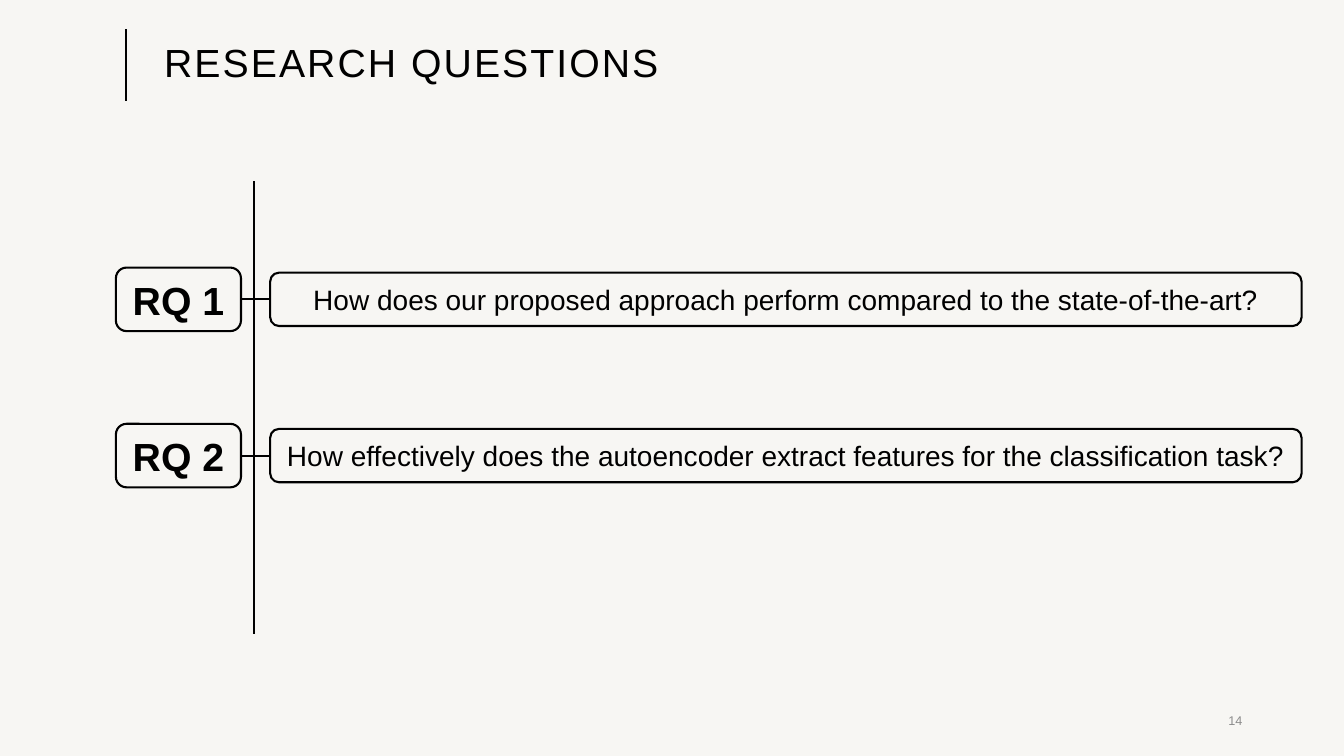
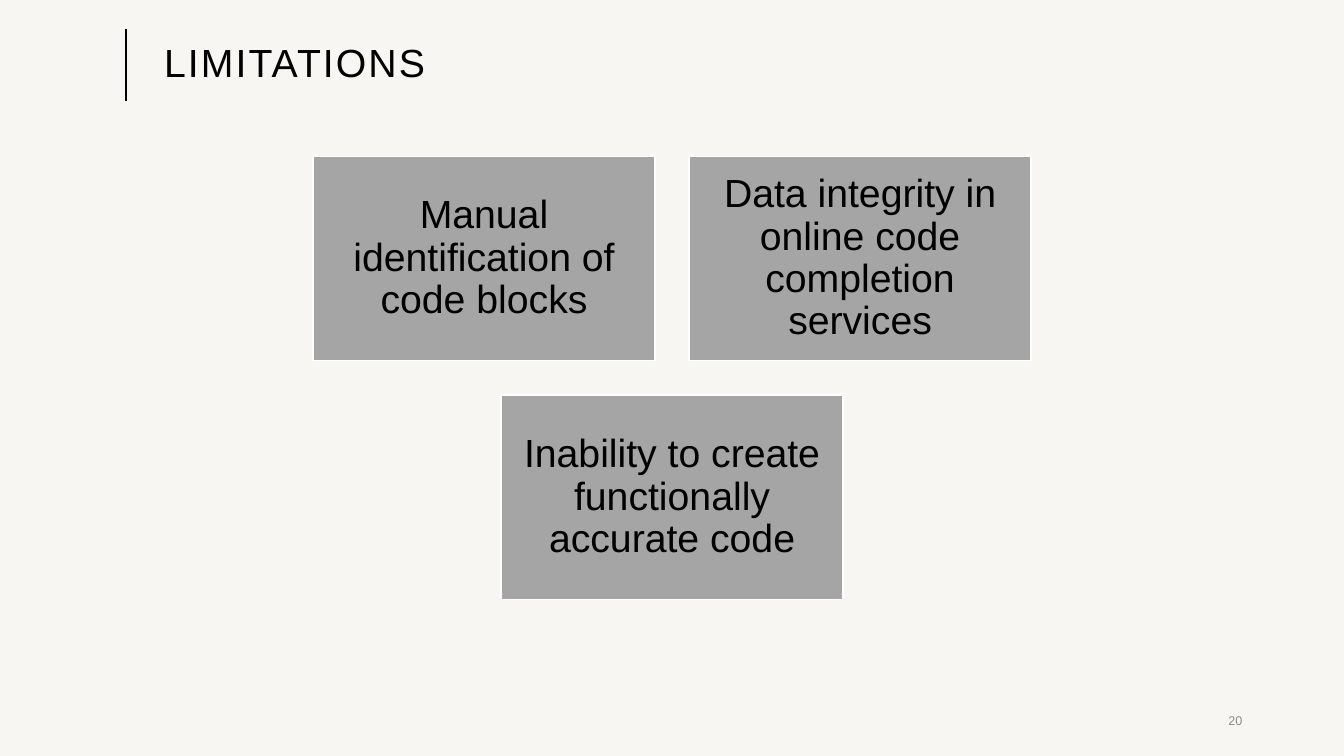
from lxml.etree import SubElement
from pptx import Presentation
from pptx.dml.color import RGBColor
from pptx.enum.shapes import MSO_CONNECTOR, MSO_SHAPE
from pptx.enum.text import MSO_ANCHOR, PP_ALIGN
from pptx.oxml.ns import qn
from pptx.util import Inches, Pt

HUES = {
    "paper": "F7F6F3",
    "ink": "000000",
    "page": "8C8C8C",
    "card": "A5A5A5",
    "edge": "FFFFFF",
}
FONT = "Arial"
WIDE, HIGH = 13.33, 7.5
TOP, HEAD = 0.29, 0.71          # title band: top and height
RIGHT = 12.42                   # right edge of title and page number


def hue(name):
    return RGBColor.from_string(HUES[name])


def write(frame, text, size, align=PP_ALIGN.CENTER, color="ink", bold=False, lead=1.0):
    frame.word_wrap = True
    frame.vertical_anchor = MSO_ANCHOR.MIDDLE
    para = frame.paragraphs[0]
    run = para.add_run()
    run.text = text
    para.alignment = align
    para.line_spacing = lead
    font = para.font
    font.name, font.size, font.bold = FONT, Pt(size), bold
    font.color.rgb = hue(color)
    return run


def label(slide, box, text, size, **style):
    area = slide.shapes.add_textbox(*map(Inches, box))
    return write(area.text_frame, text, size, **style)


def block(slide, kind, box, text, size, fill, edge, width, **style):
    shape = slide.shapes.add_shape(kind, *map(Inches, box))
    shape.shadow.inherit = False
    shape.fill.solid()
    shape.fill.fore_color.rgb = hue(fill)
    shape.line.color.rgb = hue(edge)
    shape.line.width = Pt(width)
    write(shape.text_frame, text, size, **style)
    return shape


def rule(slide, *ends):
    line = slide.shapes.add_connector(MSO_CONNECTOR.STRAIGHT, *map(Inches, ends))
    line.line.color.rgb = hue("ink")
    line.line.width = Pt(1.5)
    SubElement(line._element.spPr, qn("a:effectLst"))


def start(deck, title, page):
    """Add a slide with the shared title, side rule and page number."""
    slide = deck.slides.add_slide(deck.slide_layouts[6])
    rule(slide, 1.25, TOP, 1.25, TOP + HEAD)
    run = label(slide, (1.53, TOP, RIGHT - 1.53, HEAD), title, 28,
                align=PP_ALIGN.LEFT, lead=0.9)
    run._r.get_or_add_rPr().set("spc", "150")
    label(slide, (RIGHT - 3, 6.95, 3, 0.4), str(page), 9,
          align=PP_ALIGN.RIGHT, color="page")
    return slide


def asks(slide, items, first=2.97, step=1.55):
    """Hang numbered questions on a vertical rule."""
    tag, bar = (1.15, 1.24, 0.63), (2.68, 10.23, 0.53)
    rule(slide, 2.52, 1.8, 2.52, 6.29)
    for row, text in enumerate(items):
        mid = first + row * step
        rule(slide, tag[0] + tag[1], mid, bar[0], mid)
        parts = ((tag, f"RQ {row + 1}", 28, True), (bar, text, 20, False))
        for (left, wide, high), words, size, bold in parts:
            block(slide, MSO_SHAPE.FLOWCHART_ALTERNATE_PROCESS,
                  (left, mid - high / 2, wide, high), words, size,
                  "paper", "ink", 1.5, bold=bold)


def cards(slide, rows, top=1.55, wide=3.39, high=2.03, gap=0.34):
    """Lay out rows of equal cards, each row centred on the slide."""
    for row, items in enumerate(rows):
        span = len(items) * (wide + gap) - gap
        for col, text in enumerate(items):
            box = ((WIDE - span) / 2 + col * (wide + gap),
                   top + row * (high + gap), wide, high)
            card = block(slide, MSO_SHAPE.RECTANGLE, box, text, 28,
                         "card", "edge", 1, lead=0.9)
            frame = card.text_frame
            frame.margin_top = frame.margin_bottom = Inches(0.1)


def main():
    deck = Presentation()
    deck.slide_width, deck.slide_height = Inches(WIDE), Inches(HIGH)
    back = deck.slide_master.background.fill
    back.solid()
    back.fore_color.rgb = hue("paper")

    asks(start(deck, "RESEARCH QUESTIONS", 14), [
        "How does our proposed approach perform compared to the state-of-the-art?",
        "How effectively does the autoencoder extract features for the classification task?",
    ])
    cards(start(deck, "LIMITATIONS", 20), [
        ["Manual identification of code blocks",
         "Data integrity in online code completion services"],
        ["Inability to create functionally accurate code"],
    ])
    deck.save("out.pptx")


if __name__ == "__main__":
    main()
